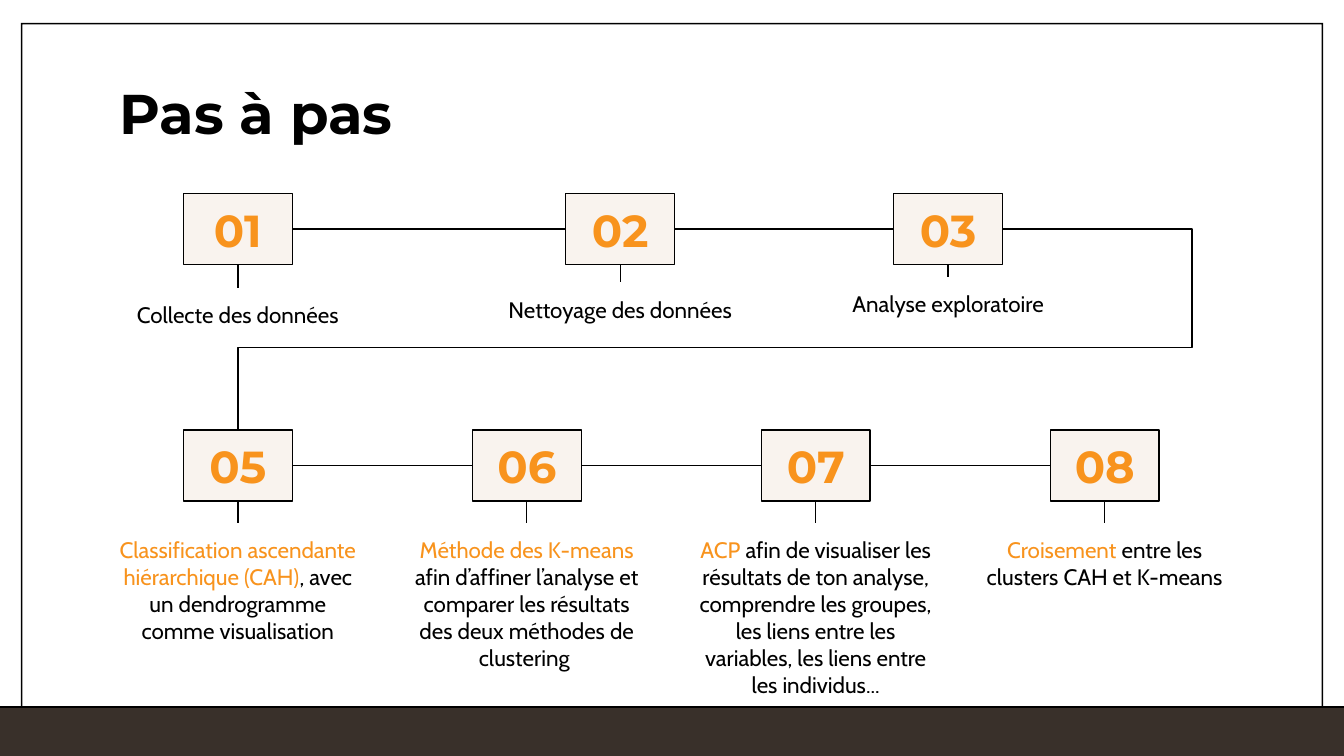
from itertools import pairwise

from lxml.etree import SubElement
from pptx import Presentation
from pptx.dml.color import RGBColor
from pptx.enum.shapes import MSO_CONNECTOR, MSO_SHAPE
from pptx.enum.text import MSO_ANCHOR, PP_ALIGN
from pptx.oxml.ns import qn
from pptx.util import Pt

EMU_PER_PX = 4572
COLOURS = {
    "black": "000000",
    "bar": "39302A",
    "tan": "D49F74",
    "orange": "F8931D",
}
BOX_WIDTH, BOX_HEIGHT = 162, 106
LABEL_WIDTH, LABEL_HEIGHT = 396, 102
TOP_ROW, BOTTOM_ROW = 288, 640
FIRST_CENTRE, COLUMN_PITCH = 354, 430
RAIL_X, RAIL_Y = 1774, 517

TOP_STEPS = [
    ("01", FIRST_CENTRE, 428, "", "Collecte des données"),
    ("02", 923, 420, "", "Nettoyage des données"),
    ("03", 1411, 412, "", "Analyse exploratoire"),
]
BOTTOM_TEXTS = [
    ("Classification ascendante hiérarchique (CAH)",
     ", avec un dendrogramme comme visualisation"),
    ("Méthode des K-means ",
     "afin d’affiner l’analyse et comparer les résultats des deux méthodes de clustering "),
    ("ACP",
     " afin de visualiser les résultats de ton analyse, comprendre les groupes, "
     "les liens entre les variables, les liens entre les individus..."),
    ("Croisement", " entre les clusters CAH et K-means"),
]
BOTTOM_STEPS = [
    (f"{index + 5:02}", FIRST_CENTRE + index * COLUMN_PITCH, 778, *texts)
    for index, texts in enumerate(BOTTOM_TEXTS)
]


def px(*lengths):
    return [length * EMU_PER_PX for length in lengths]


def colour(name):
    return RGBColor.from_string(COLOURS[name])


def set_font(font, face, size, name, bold=False):
    font.name = face
    font.size = Pt(size)
    font.bold = bold
    font.color.rgb = colour(name)


def set_margins(frame):
    frame.word_wrap = True
    frame.margin_left, frame.margin_top, frame.margin_right, frame.margin_bottom = px(20, 20, 20, 20)


def set_line(line):
    line.color.rgb = colour("black")
    line.width = Pt(0.75)


def add_block(page, kind, bounds, fill):
    block = page.shapes.add_shape(kind, *px(*bounds))
    block.shadow.inherit = False
    block.fill.solid()
    block.fill.fore_color.rgb = colour(fill)
    return block


def add_border(page):
    border = add_block(page, MSO_SHAPE.FRAME, (31, 34, 1938, 1090), "black")
    border.adjustments[0] = 0.002
    border.line.fill.background()
    bar = add_block(page, MSO_SHAPE.RECTANGLE, (-6, 1052, 2012, 78), "bar")
    set_line(bar.line)


def add_title(page, text):
    title = page.shapes.title
    title.left, title.top, title.width, title.height = px(158, 97, 1686, 126)
    frame = title.text_frame
    set_margins(frame)
    frame.vertical_anchor = MSO_ANCHOR.TOP
    frame.text = text
    para = frame.paragraphs[0]
    para.alignment = PP_ALIGN.LEFT
    set_font(para.font, "Montserrat", 30, "black", bold=True)


def add_line(page, start, end):
    line = page.shapes.add_connector(MSO_CONNECTOR.STRAIGHT, *px(*start, *end))
    set_line(line.line)
    SubElement(line.element.spPr, qn("a:effectLst"))


def add_number_box(page, number, centre, top):
    bounds = (centre - BOX_WIDTH // 2, top, BOX_WIDTH, BOX_HEIGHT)
    box = add_block(page, MSO_SHAPE.RECTANGLE, bounds, "tan")
    tint = box.element.spPr.find(qn("a:solidFill")).find(qn("a:srgbClr"))
    SubElement(tint, qn("a:alpha"), val="12000")
    set_line(box.line)
    frame = box.text_frame
    set_margins(frame)
    frame.vertical_anchor = MSO_ANCHOR.MIDDLE
    frame.text = number
    para = frame.paragraphs[0]
    para.alignment = PP_ALIGN.CENTER
    set_font(para.font, "Montserrat", 24, "orange", bold=True)


def add_label(page, centre, top, keyword, rest):
    label = page.shapes.add_textbox(*px(centre - LABEL_WIDTH // 2, top, LABEL_WIDTH, LABEL_HEIGHT))
    set_margins(label.text_frame)
    para = label.text_frame.paragraphs[0]
    para.alignment = PP_ALIGN.CENTER
    for text, name in ((keyword, "orange"), (rest, "black")):
        if text:
            span = para.add_run()
            span.text = text
            set_font(span.font, "Cabin", 12, name)


def add_row(page, steps, top):
    for number, centre, label_top, keyword, rest in steps:
        add_line(page, (centre, top + BOX_HEIGHT), (centre, label_top))
        add_number_box(page, number, centre, top)
        add_label(page, centre, label_top, keyword, rest)
    middle = top + BOX_HEIGHT // 2
    for before, after in pairwise(steps):
        start = before[1] + BOX_WIDTH // 2
        end = after[1] - BOX_WIDTH // 2
        add_line(page, (start, middle), (end, middle))


def add_return_rail(page):
    start = TOP_STEPS[-1][1] + BOX_WIDTH // 2
    middle = TOP_ROW + BOX_HEIGHT // 2
    corners = [(RAIL_X, middle), (RAIL_X, RAIL_Y), (FIRST_CENTRE, RAIL_Y), (FIRST_CENTRE, BOTTOM_ROW)]
    builder = page.shapes.build_freeform(start, middle, scale=EMU_PER_PX)
    builder.add_line_segments(corners, close=False)
    rail = builder.convert_to_shape()
    rail.shadow.inherit = False
    rail.fill.background()
    set_line(rail.line)


def main():
    deck = Presentation()
    deck.slide_width, deck.slide_height = px(2000, 1125)
    page = deck.slides.add_slide(deck.slide_layouts[5])
    add_border(page)
    add_title(page, "Pas à pas")
    add_row(page, TOP_STEPS, TOP_ROW)
    add_return_rail(page)
    add_row(page, BOTTOM_STEPS, BOTTOM_ROW)
    deck.save("out.pptx")


if __name__ == "__main__":
    main()
